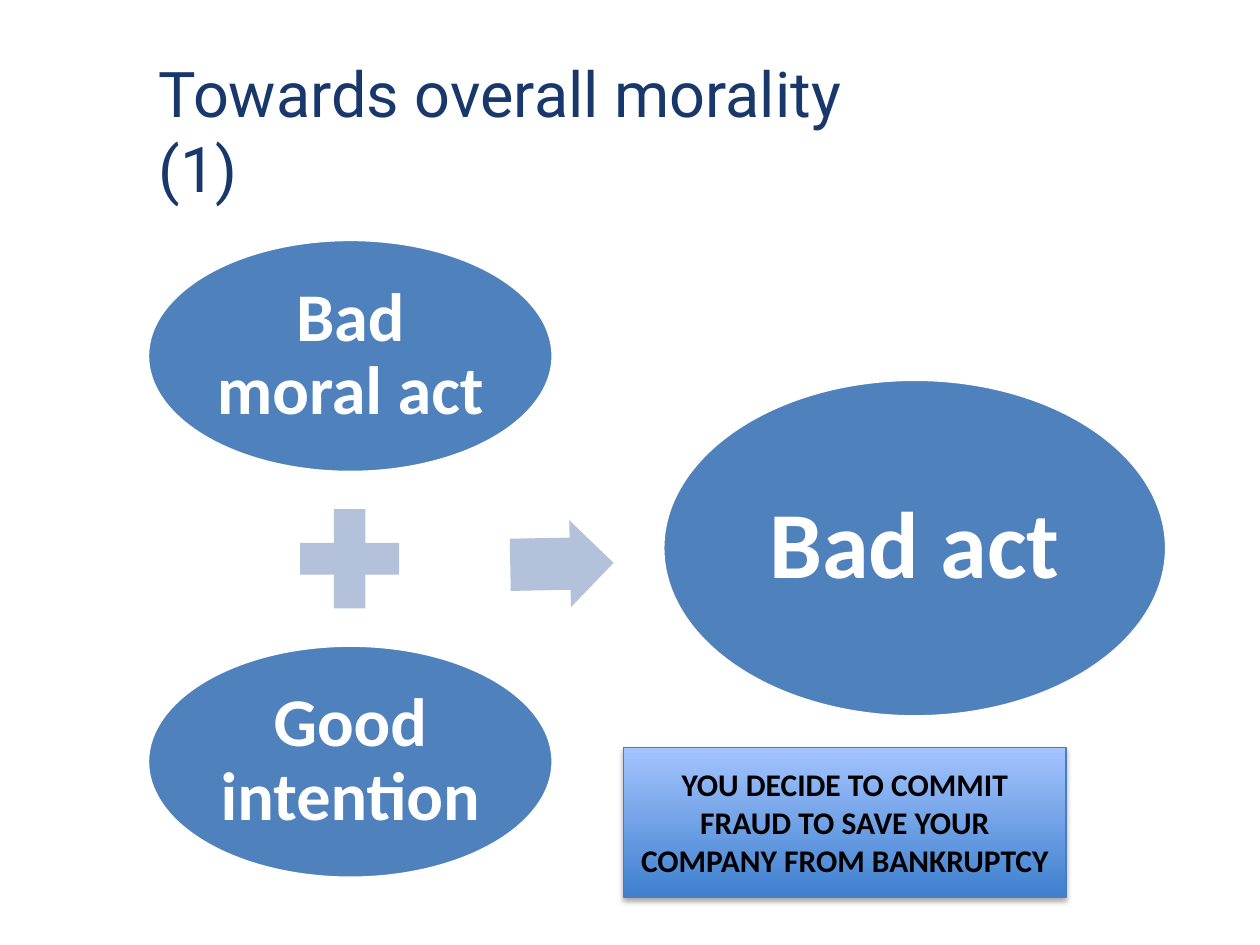
from dataclasses import dataclass

import lxml.etree
import pptx
import pptx.dml.color
import pptx.enum.shapes
import pptx.enum.text
import pptx.oxml.ns
import pptx.util

Inches = pptx.util.Inches
Pt = pptx.util.Pt
MSO_SHAPE = pptx.enum.shapes.MSO_SHAPE

COLORS = {
    "title": "18376A",
    "ellipse": "4F81BD",
    "operator": "B3C1DB",
    "white": "FFFFFF",
    "black": "000000",
    "example_bottom": "3F80CE",
    "example_top": "A4C4FF",
    "example_line": "4B7EBC",
}


@dataclass
class Box:
    left: float
    top: float
    width: float
    height: float

    def lengths(self) -> list:
        return [Inches(n) for n in (self.left, self.top, self.width, self.height)]


@dataclass
class Idea:
    text: str
    box: Box
    size: int
    inset: float


IDEAS = [
    Idea("Bad moral act", Box(1.17, 1.9, 3.22, 1.85), 39, 0.05),
    Idea("Good intention", Box(1.17, 5.12, 3.22, 1.85), 39, 0.05),
    Idea("Bad act", Box(5.26, 3.01, 4, 2.68), 54, 0.07),
]


def rgb(name: str) -> pptx.dml.color.RGBColor:
    return pptx.dml.color.RGBColor.from_string(COLORS[name])


def write(shape, text: str, font_name: str, size: int, color: str,
          bold: bool = False, centred: bool = True):
    """Set wrapped, vertically centred text and return its paragraph."""
    frame = shape.text_frame
    frame.word_wrap = True
    frame.vertical_anchor = pptx.enum.text.MSO_ANCHOR.MIDDLE
    paragraph = frame.paragraphs[0]
    paragraph.text = text
    alignment = pptx.enum.text.PP_ALIGN
    paragraph.alignment = alignment.CENTER if centred else alignment.LEFT
    paragraph.font.name = font_name
    paragraph.font.size = Pt(size)
    paragraph.font.bold = bold
    paragraph.font.color.rgb = rgb(color)
    return paragraph


def add_flat_shape(slide, kind, box: Box, fill: str):
    shape = slide.shapes.add_shape(kind, *box.lengths())
    shape.shadow.inherit = False
    shape.fill.solid()
    shape.fill.fore_color.rgb = rgb(fill)
    shape.line.fill.background()
    return shape


def add_idea(slide, idea: Idea) -> None:
    shape = add_flat_shape(slide, MSO_SHAPE.OVAL, idea.box, "ellipse")
    shape.line.color.rgb = rgb("white")
    shape.line.width = Pt(2)
    frame = shape.text_frame
    frame.margin_left = frame.margin_right = Inches(idea.inset)
    frame.margin_top = frame.margin_bottom = Inches(idea.inset)
    paragraph = write(shape, idea.text, "Calibri", idea.size, "white", bold=True)
    paragraph.line_spacing = 0.9


def add_drop_shadow(shape) -> None:
    shape.shadow.inherit = False
    qn = pptx.oxml.ns.qn
    effects = shape.element.spPr.find(qn("a:effectLst"))
    shadow = lxml.etree.SubElement(
        effects, qn("a:outerShdw"), blurRad=str(Pt(3.1)), dist=str(Pt(1.8)),
        dir="5400000", rotWithShape="0")
    color = lxml.etree.SubElement(shadow, qn("a:srgbClr"), val=COLORS["black"])
    lxml.etree.SubElement(color, qn("a:alpha"), val="35000")


def add_example(slide, text: str, box: Box) -> None:
    shape = slide.shapes.add_shape(MSO_SHAPE.RECTANGLE, *box.lengths())
    shape.fill.gradient()
    shape.fill.gradient_angle = 90
    for stop, name in zip(shape.fill.gradient_stops, ("example_bottom", "example_top")):
        stop.color.rgb = rgb(name)
    shape.line.color.rgb = rgb("example_line")
    shape.line.width = Pt(0.75)
    add_drop_shadow(shape)
    write(shape, text, "Calibri", 18, "black", bold=True)


def main() -> None:
    presentation = pptx.Presentation()
    presentation.slide_width = Inches(10)
    presentation.slide_height = Inches(7.5)
    slide = presentation.slides.add_slide(presentation.slide_layouts[6])

    title = slide.shapes.add_textbox(*Box(1.16, 0.6, 5.89, 0.86).lengths())
    write(title, "Towards overall morality (1)", "Roboto", 36, "title", centred=False)

    for idea in IDEAS:
        add_idea(slide, idea)
    add_flat_shape(slide, MSO_SHAPE.MATH_PLUS, Box(2.24, 3.9, 1.07, 1.07), "operator")
    arrow = add_flat_shape(slide, MSO_SHAPE.RIGHT_ARROW, Box(4.05, 4.13, 0.82, 0.69), "operator")
    arrow.adjustments[0] = 0.6
    arrow.adjustments[1] = 0.5
    arrow.rotation = 358.9

    add_example(slide, "YOU DECIDE TO COMMIT FRAUD TO SAVE YOUR COMPANY FROM BANKRUPTCY",
                Box(4.95, 5.93, 3.51, 1.19))
    presentation.save("out.pptx")


if __name__ == "__main__":
    main()
